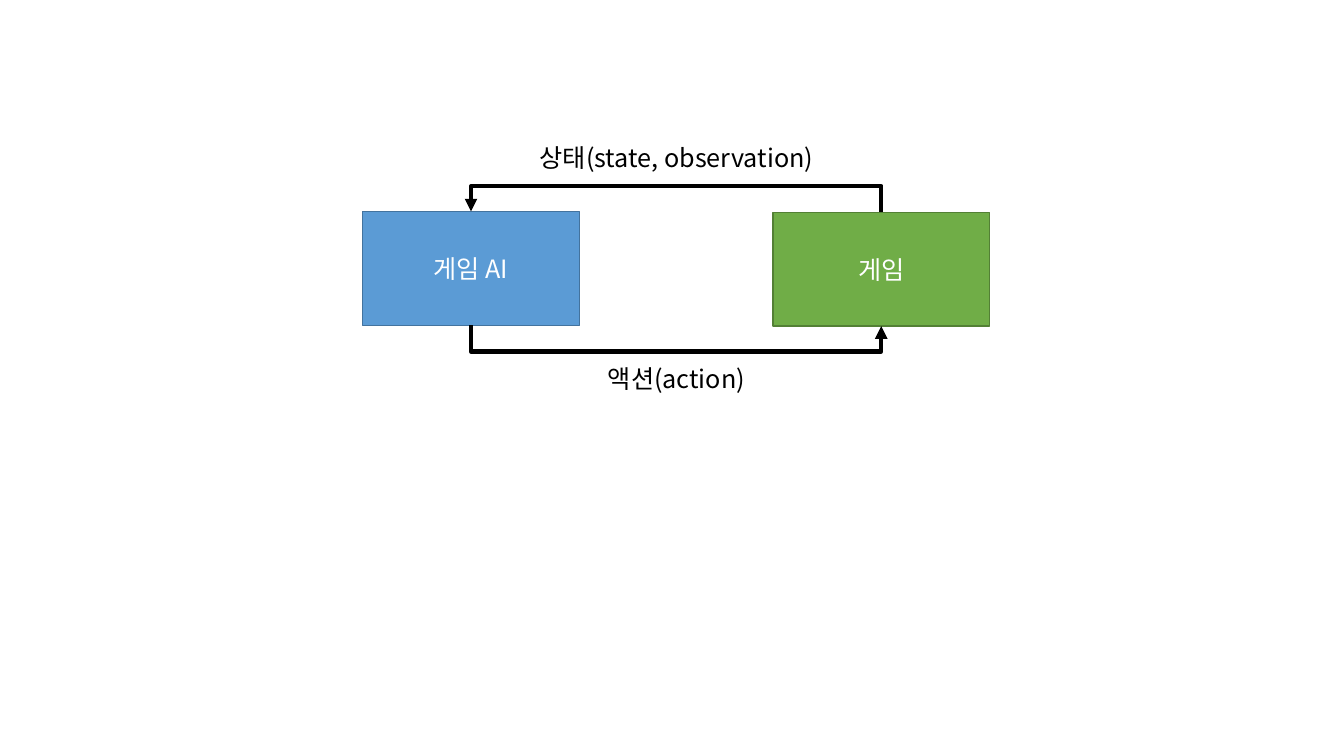
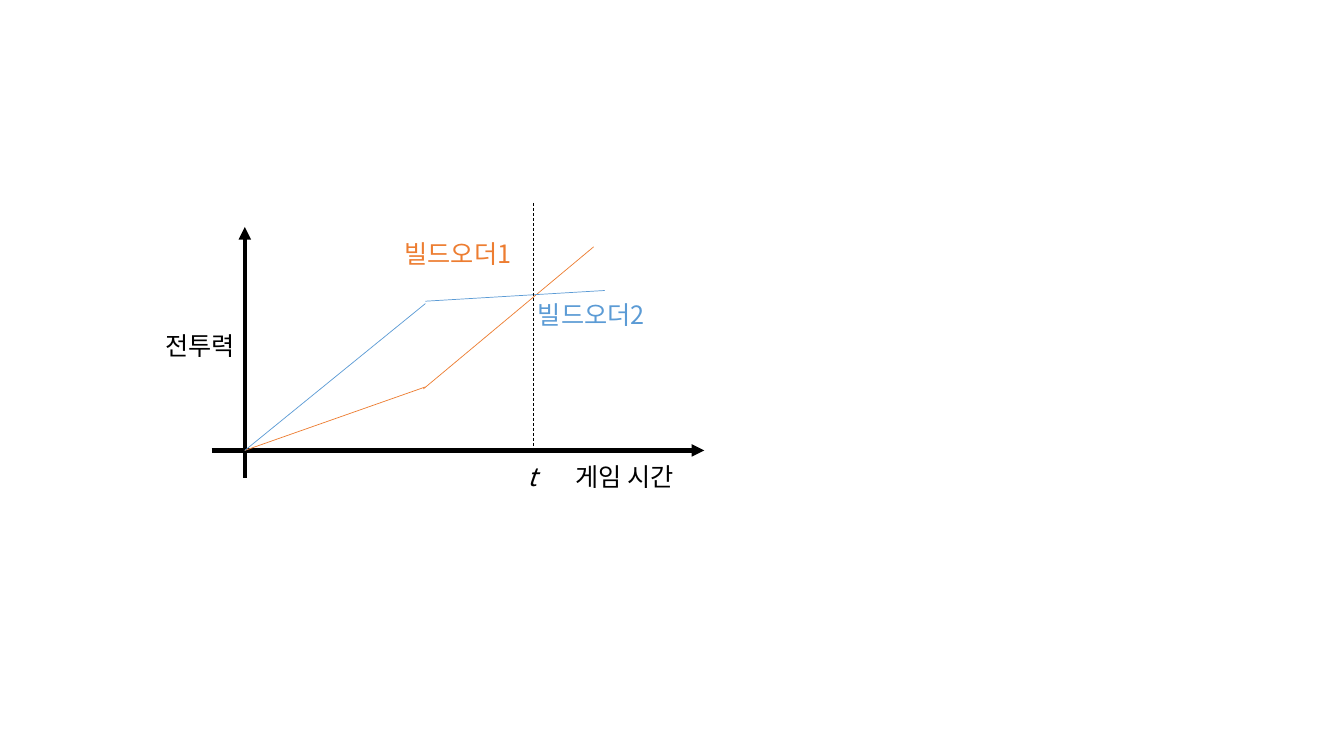
from lxml import etree
from pptx import Presentation
from pptx.dml.color import RGBColor
from pptx.enum.dml import MSO_LINE
from pptx.enum.shapes import MSO_CONNECTOR, MSO_SHAPE
from pptx.enum.text import MSO_ANCHOR, MSO_AUTO_SIZE, PP_ALIGN
from pptx.oxml.ns import qn
from pptx.util import Cm, Pt

STRAIGHT, ELBOW = MSO_CONNECTOR.STRAIGHT, MSO_CONNECTOR.ELBOW
RECTANGLE = MSO_SHAPE.RECTANGLE
DASH = MSO_LINE.DASH
CENTER, MIDDLE = PP_ALIGN.CENTER, MSO_ANCHOR.MIDDLE
FIT_TEXT = MSO_AUTO_SIZE.SHAPE_TO_FIT_TEXT
TOP, BOTTOM = 0, 2

FONT = "Noto Sans CJK KR"
BLACK = RGBColor(0x00, 0x00, 0x00)
WHITE = RGBColor(0xFF, 0xFF, 0xFF)
BLUE = RGBColor(0x5B, 0x9B, 0xD5)
DARK_BLUE = RGBColor(0x43, 0x73, 0x9E)
GREEN = RGBColor(0x70, 0xAD, 0x47)
DARK_GREEN = RGBColor(0x53, 0x80, 0x35)
ORANGE = RGBColor(0xED, 0x7D, 0x31)
THICK, THIN = Pt(3), Pt(0.5)


def write_text(shape, text, color, italic=None):
    frame = shape.text_frame
    frame.word_wrap = True
    frame.text = text
    para = frame.paragraphs[0]
    para.alignment = CENTER
    span = para.runs[0]
    span.font.size = Pt(18)
    span.font.italic = italic
    span.font.color.rgb = color
    span.font.name = FONT
    etree.SubElement(span.font._element, qn("a:ea"), typeface=FONT)


def style_line(connector, color, width, arrow=False, dash=None):
    connector.line.color.rgb = color
    connector.line.width = width
    if dash:
        connector.line.dash_style = dash
    properties = connector.element.spPr
    if arrow:
        etree.SubElement(properties.find(qn("a:ln")), qn("a:tailEnd"), type="triangle")
    etree.SubElement(properties, qn("a:effectLst"))


deck = Presentation()
deck.slide_width, deck.slide_height = Cm(33.87), Cm(19.05)
blank = deck.slide_layouts[6]
loop_page = deck.slides.add_slide(blank)
graph_page = deck.slides.add_slide(blank)

# Slide 1: the two boxes
box_width, box_height = Cm(5.46), Cm(2.87)
boxes = []
for text, left, top, fill, edge in [
    ("게임", 19.48, 5.35, GREEN, DARK_GREEN),
    ("게임 AI", 9.14, 5.33, BLUE, DARK_BLUE),
]:
    box = loop_page.shapes.add_shape(RECTANGLE, Cm(left), Cm(top), box_width, box_height)
    box.shadow.inherit = False
    box.fill.solid()
    box.fill.fore_color.rgb = fill
    box.line.color.rgb = edge
    box.line.width = Pt(1)
    write_text(box, text, WHITE)
    box.text_frame.vertical_anchor = MIDDLE
    boxes.append(box)
game, game_ai = boxes

# Slide 1: elbow arrows, turned a quarter so that they leave vertically
span_x = game.left - game_ai.left
step_y = game.top - game_ai.top
bend = round(Cm(0.66) / step_y * 100000)
middle_x = game_ai.left + (box_width + span_x) // 2
for source, target, side, flip in [
    (game, game_ai, TOP, "flipV"),
    (game_ai, game, BOTTOM, "flipH"),
]:
    arrow = loop_page.shapes.add_connector(ELBOW, 0, 0, 0, 0)
    arrow.begin_connect(source, side)
    arrow.end_connect(target, side)
    side_y = game_ai.top + (box_height if side == BOTTOM else 0)
    arrow.left, arrow.top = middle_x - step_y // 2, side_y + (step_y - span_x) // 2
    arrow.width, arrow.height = step_y, span_x
    frame = arrow.element.spPr.find(qn("a:xfrm"))
    for name in ("flipH", "flipV"):
        frame.set(name, "1" if name == flip else "0")
    frame.set("rot", str(270 * 60000))
    adjustments = arrow.element.spPr.find(qn("a:prstGeom")).find(qn("a:avLst"))
    etree.SubElement(adjustments, qn("a:gd"), name="adj1", fmla=f"val {bend}")
    style_line(arrow, BLACK, THICK, arrow=True)

# Slide 2: axes, build order curves and the moment t
origin_x, origin_y = 6.17, 11.35
knee_x, t_x = 10.72, 13.44
for x1, y1, x2, y2, color, width, arrow, dash in [
    (5.33, origin_y, 17.75, origin_y, BLACK, THICK, True, None),
    (origin_x, 12.04, origin_x, 5.72, BLACK, THICK, True, None),
    (origin_x, origin_y, knee_x, 9.75, ORANGE, THIN, False, None),
    (10.67, 9.8, 14.96, 6.22, ORANGE, THIN, False, None),
    (origin_x, origin_y, knee_x, 7.65, BLUE, THIN, False, None),
    (knee_x, 7.59, 15.24, 7.32, BLUE, THIN, False, None),
    (t_x, 5.11, t_x, origin_y, BLACK, THIN, False, DASH),
]:
    line = graph_page.shapes.add_connector(STRAIGHT, Cm(x1), Cm(y1), Cm(x2), Cm(y2))
    style_line(line, color, width, arrow, dash)

# Labels of both slides
for page, text, left, top, width, color, italic in [
    (loop_page, "상태(state, observation)", 11.88, 3.45, 10.34, BLACK, None),
    (loop_page, "액션(action)", 11.88, 9.04, 10.34, BLACK, None),
    (graph_page, "게임 시간", 13.74, 11.51, 3.99, BLACK, None),
    (graph_page, "전투력", 3.73, 8.2, 2.62, BLACK, None),
    (graph_page, "빌드오더2", 12.78, 7.42, 4.24, BLUE, None),
    (graph_page, "빌드오더1", 9.42, 5.89, 4.24, ORANGE, None),
    (graph_page, "t", 11.43, 11.51, 3.99, BLACK, True),
]:
    label = page.shapes.add_textbox(Cm(left), Cm(top), Cm(width), Cm(1.03))
    write_text(label, text, color, italic)
    label.text_frame.auto_size = FIT_TEXT

deck.save("out.pptx")
